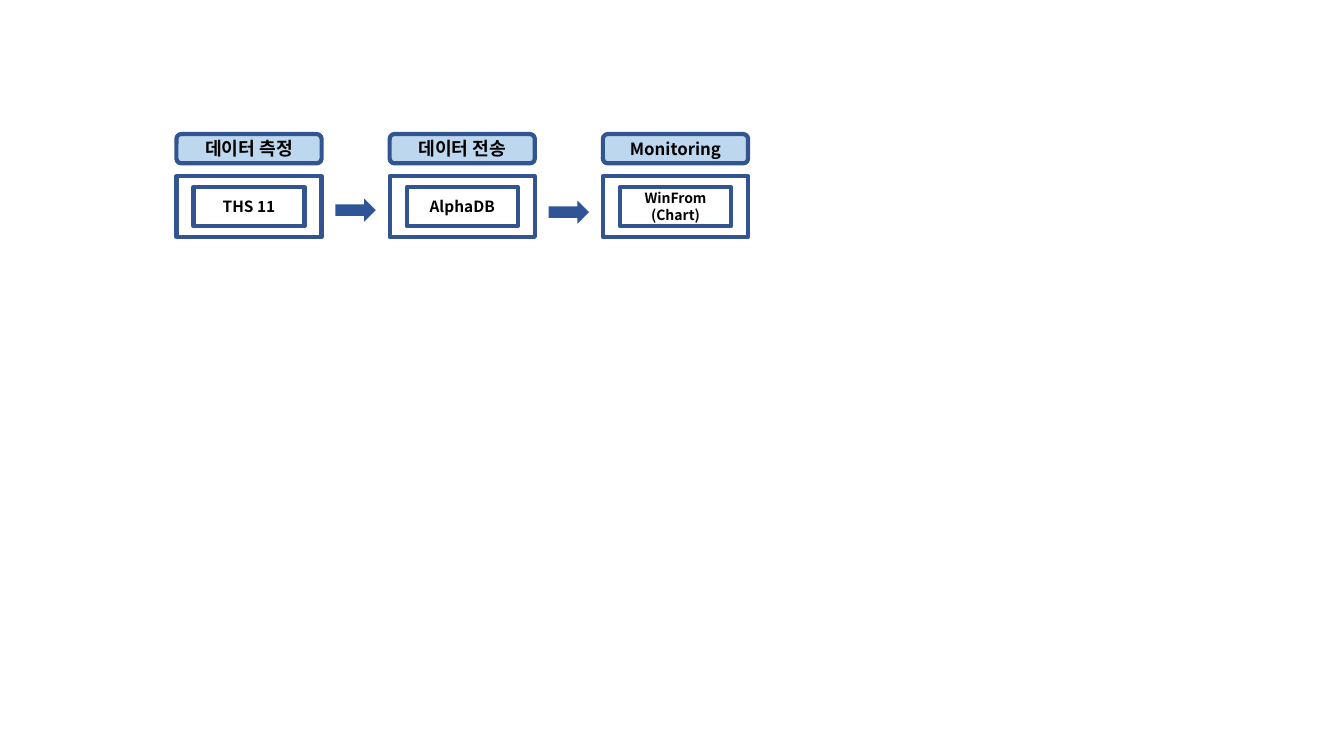
"""Build a slide with a three-stage data flow: measure, transmit, monitor."""
from lxml.etree import SubElement
from pptx import Presentation
from pptx.dml.color import RGBColor
from pptx.enum.shapes import MSO_SHAPE as Shape
from pptx.enum.text import MSO_ANCHOR as Anchor, PP_ALIGN as Align
from pptx.oxml.ns import qn
from pptx.util import Inches, Pt

STAGES = [
    ("데이터 측정", 13, "THS 11", 11),
    ("데이터 전송", 13, "AlphaDB", 11),
    ("Monitoring", 12, "WinFrom (Chart)", 10),
]
ARROW_TOPS = [1.97, 1.99]
COLORS = {"border": "325491", "header": "BDD7EE", "body": "FFFFFF",
          "arrow": "2F5597", "text": "000000"}
FONT = "Noto Sans CJK KR"

LEFT, PITCH = 1.75, 2.115
STAGE_WIDTH = 1.44
HEADER_TOP, HEADER_HEIGHT = 1.33, 0.29
FRAME_TOP, FRAME_HEIGHT = 1.75, 0.6
ITEM_WIDTH, ITEM_HEIGHT = 1.1, 0.39
ARROW_WIDTH, ARROW_HEIGHT = 0.4, 0.23


def color(name):
    return RGBColor.from_string(COLORS[name])


def add_box(page, kind, bounds, fill, border=True):
    box = page.shapes.add_shape(kind, *map(Inches, bounds))
    box.shadow.inherit = False
    box.fill.solid()
    box.fill.fore_color.rgb = color(fill)
    if border:
        box.line.color.rgb = color("border")
        box.line.width = Pt(3)
    else:
        box.line.fill.background()
    return box


def write(box, text, size):
    frame = box.text_frame
    frame.word_wrap = True
    frame.vertical_anchor = Anchor.MIDDLE
    para = frame.paragraphs[0]
    para.alignment = Align.CENTER
    span = para.add_run()
    span.text = text
    for name, value in {"size": Pt(size), "bold": True, "name": FONT}.items():
        setattr(span.font, name, value)
    span.font.color.rgb = color("text")
    SubElement(span.font._element, qn("a:ea"), typeface=FONT)


def add_stage(page, left, header, header_size, item, item_size):
    add_box(page, Shape.RECTANGLE,
            (left, FRAME_TOP, STAGE_WIDTH, FRAME_HEIGHT), "body")
    title = add_box(page, Shape.ROUNDED_RECTANGLE,
                    (left, HEADER_TOP, STAGE_WIDTH, HEADER_HEIGHT), "header")
    write(title, header, header_size)
    item_left = left + (STAGE_WIDTH - ITEM_WIDTH) / 2
    item_top = FRAME_TOP + (FRAME_HEIGHT - ITEM_HEIGHT) / 2
    inner = add_box(page, Shape.RECTANGLE,
                    (item_left, item_top, ITEM_WIDTH, ITEM_HEIGHT), "body")
    write(inner, item, item_size)


def main():
    deck = Presentation()
    deck.slide_width, deck.slide_height = Inches(13.33), Inches(7.5)
    page = deck.slides.add_slide(deck.slide_layouts[6])
    for column, stage in enumerate(STAGES):
        add_stage(page, LEFT + column * PITCH, *stage)
    gap = PITCH - STAGE_WIDTH
    for column, top in enumerate(ARROW_TOPS):
        left = LEFT + column * PITCH + STAGE_WIDTH + (gap - ARROW_WIDTH) / 2
        add_box(page, Shape.RIGHT_ARROW,
                (left, top, ARROW_WIDTH, ARROW_HEIGHT), "arrow", border=False)
    deck.save("out.pptx")


if __name__ == "__main__":
    main()
